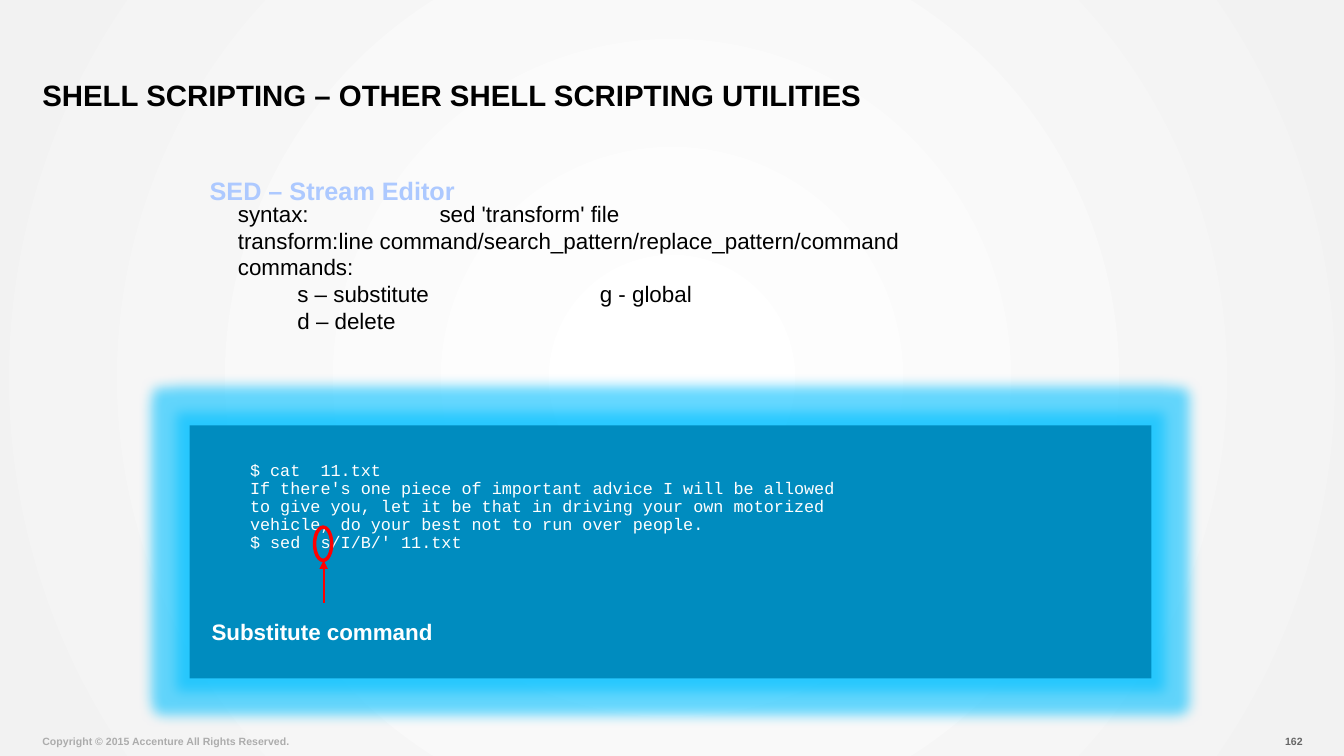
from dataclasses import dataclass

from lxml.etree import SubElement
from pptx import Presentation
from pptx.dml.color import RGBColor
from pptx.enum.shapes import MSO_CONNECTOR, MSO_SHAPE
from pptx.enum.text import MSO_ANCHOR, PP_ALIGN
from pptx.oxml import parse_xml
from pptx.oxml.ns import nsdecls, qn
from pptx.util import Inches, Pt


@dataclass(frozen=True)
class Theme:
    sans: str = "Arial"
    mono: str = "Courier New"
    black: str = "000000"
    white: str = "FFFFFF"
    edge: str = "F2F2F2"
    heading: str = "ADC9FF"
    panel: str = "008CBF"
    glow: str = "00BFFF"
    marker: str = "FF0000"
    copyright: str = "ACACAC"
    number: str = "666666"
    title_size: float = 21
    heading_size: float = 18
    body_size: float = 16
    code_size: float = 12
    footer_size: float = 7.5


T = Theme()

SYNTAX = [
    ("syntax:\tsed 'transform' file", [2]),
    ("transform:\tline command/search_pattern/replace_pattern/command", [1]),
    ("commands:", []),
    ("\ts – substitute\tg - global", [0.59, 3.59]),
    ("\td – delete", [0.59]),
]
CODE = [
    "$ cat  11.txt",
    "If there's one piece of important advice I will be allowed",
    "to give you, let it be that in driving your own motorized",
    "vehicle, do your best not to run over people.",
    "$ sed 's/I/B/' 11.txt",
]


def rgb(color):
    return RGBColor.from_string(color)


def write(tf, lines, size, color, font=T.sans, bold=False, spacing=None,
          align=PP_ALIGN.LEFT, anchor=MSO_ANCHOR.TOP, insets=(0, 0, 0, 0)):
    """Fill a text frame with (text, tab stops in inches) lines."""
    tf.word_wrap = True
    tf.vertical_anchor = anchor
    tf.margin_left, tf.margin_top, tf.margin_right, tf.margin_bottom = map(Inches, insets)
    for i, (text, tabs) in enumerate(lines):
        p = tf.paragraphs[0] if i == 0 else tf.add_paragraph()
        p.add_run().text = text
        p.alignment = align
        p.line_spacing = spacing
        if tabs:
            tab_list = SubElement(p._p.get_or_add_pPr(), qn("a:tabLst"))
            for tab in tabs:
                SubElement(tab_list, qn("a:tab"), pos=str(Inches(tab)), algn="l")
        p.font.name, p.font.size, p.font.bold = font, Pt(size), bold
        p.font.color.rgb = rgb(color)


def add_text(s, box, lines, size, color, **style):
    tb = s.shapes.add_textbox(*map(Inches, box))
    write(tb.text_frame, lines, size, color, **style)


def paint_background(s):
    fill = s.background.fill
    fill.gradient()
    for stop, color, position in zip(fill.gradient_stops, (T.white, T.edge), (0.02, 1)):
        stop.color.rgb = rgb(color)
        stop.position = position
    grad = s._element.find(".//" + qn("a:gradFill"))
    grad.replace(grad.find(qn("a:lin")), parse_xml(
        f'<a:path {nsdecls("a")} path="circle">'
        '<a:fillToRect l="50000" t="50000" r="50000" b="50000"/></a:path>'))


def add_title(s, box):
    add_text(s, box, [("SHELL SCRIPTING – OTHER SHELL SCRIPTING UTILITIES", [])],
             T.title_size, T.black, bold=True, spacing=0.7, anchor=MSO_ANCHOR.BOTTOM)


def add_syntax(s, box):
    x, y, w, h = box
    add_text(s, (x, y, w, 0.29), [("SED – Stream Editor", [])],
             T.heading_size, T.heading, bold=True)
    add_text(s, (x + 0.28, y + 0.25, w - 0.28, h - 0.25), SYNTAX,
             T.body_size, T.black, spacing=Pt(19))


def add_code_panel(s, box):
    x, y, w, h = box
    panel = s.shapes.add_shape(MSO_SHAPE.RECTANGLE, *map(Inches, box))
    panel.fill.solid()
    panel.fill.fore_color.rgb = rgb(T.panel)
    panel.line.fill.background()
    panel.shadow.inherit = False
    glow = SubElement(panel._element.spPr.find(qn("a:effectLst")), qn("a:glow"),
                      rad=str(Inches(0.25)))
    color = SubElement(glow, qn("a:srgbClr"), val=T.glow)
    SubElement(color, qn("a:alpha"), val="60000")
    write(panel.text_frame, [(line, []) for line in CODE], T.code_size, T.white,
          font=T.mono, spacing=Pt(12.86), insets=(0.6, 0.36, 0.1, 0.05))

    ring = s.shapes.add_shape(MSO_SHAPE.OVAL, Inches(x + 1.24), Inches(y + 1.01),
                              Inches(0.17), Inches(0.33))
    ring.fill.background()
    ring.line.color.rgb = rgb(T.marker)
    ring.line.width = Pt(2.5)
    ring.shadow.inherit = False

    arrow = s.shapes.add_connector(MSO_CONNECTOR.STRAIGHT, Inches(x + 1.33), Inches(y + 1.76),
                                   Inches(x + 1.33), Inches(y + 1.34))
    arrow.line.color.rgb = rgb(T.marker)
    arrow.line.width = Pt(1.5)
    SubElement(arrow.line._get_or_add_ln(), qn("a:tailEnd"), type="triangle")
    SubElement(arrow._element.spPr, qn("a:effectLst"))

    add_text(s, (x + 0.12, y + 1.86, 2.42, 0.37), [("Substitute command", [])],
             T.body_size, T.white, bold=True, insets=(0.1, 0.05, 0.1, 0.05))


def add_footer(s, box):
    x, y, w, h = box
    style = dict(bold=True, anchor=MSO_ANCHOR.BOTTOM)
    add_text(s, (x, y, w / 2, h), [("Copyright © 2015 Accenture All Rights Reserved.", [])],
             T.footer_size, T.copyright, **style)
    add_text(s, (x + w - 0.33, y, 0.33, h), [("162", [])],
             T.footer_size, T.number, align=PP_ALIGN.RIGHT, **style)


def main():
    prs = Presentation()
    prs.slide_width, prs.slide_height = Inches(13.33), Inches(7.5)
    s = prs.slides.add_slide(prs.slide_layouts[6])
    paint_background(s)
    add_title(s, (0.42, 0, 12.5, 1.11))
    add_syntax(s, (2.08, 1.74, 9.11, 1.6))
    add_code_panel(s, (1.88, 4.22, 9.54, 2.51))
    add_footer(s, (0.42, 7.19, 12.5, 0.23))
    prs.save("out.pptx")


if __name__ == "__main__":
    main()
